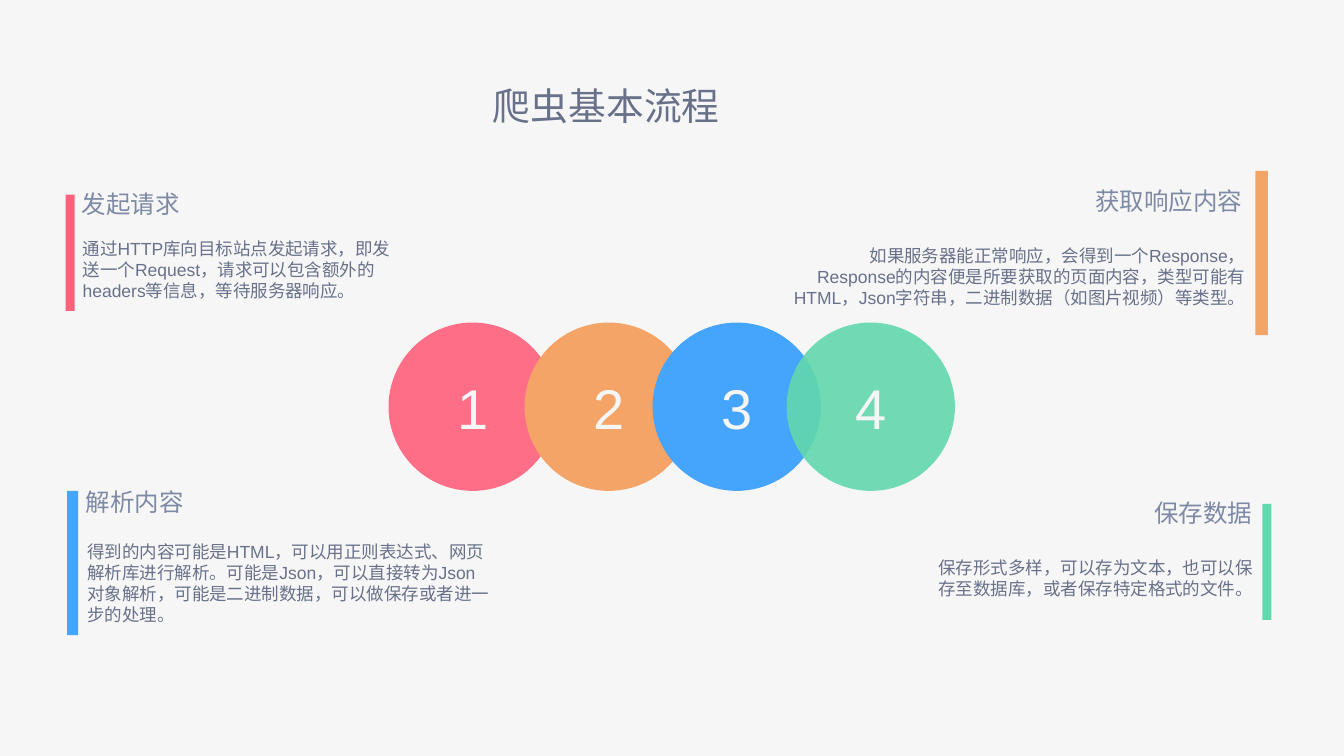
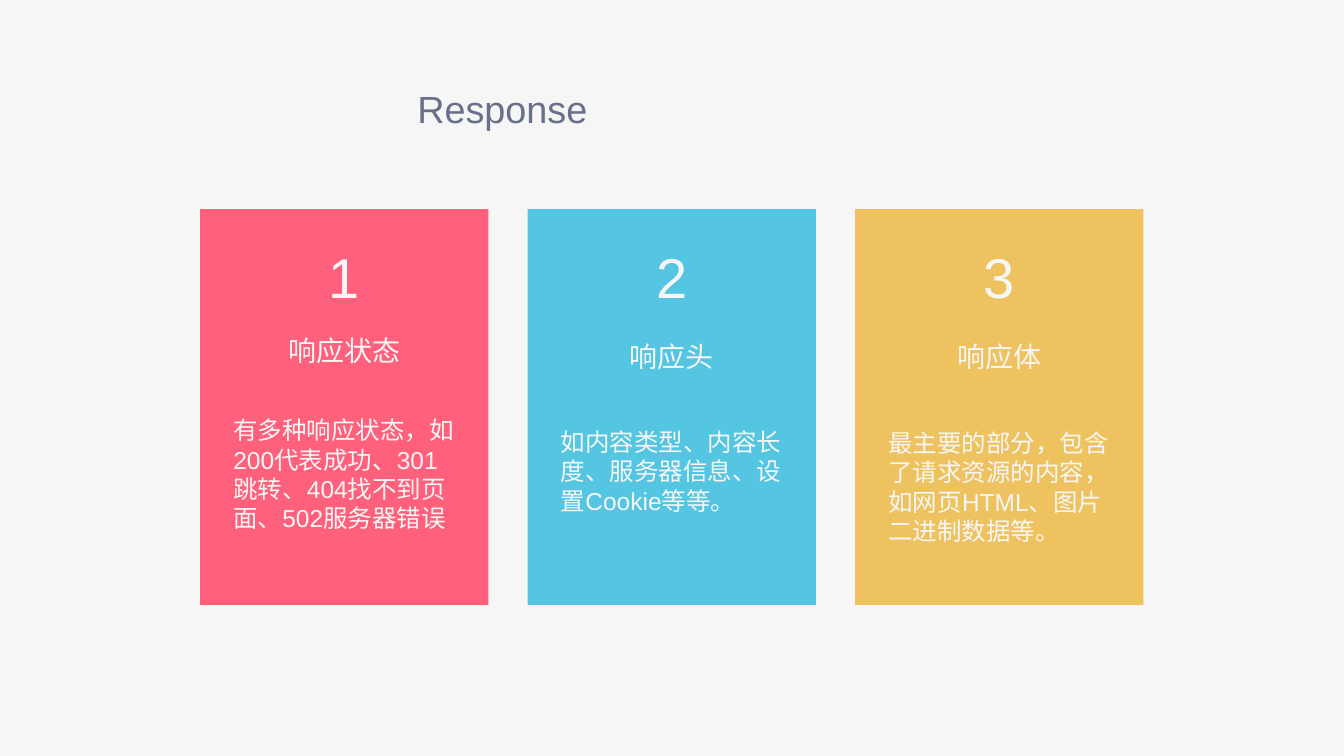
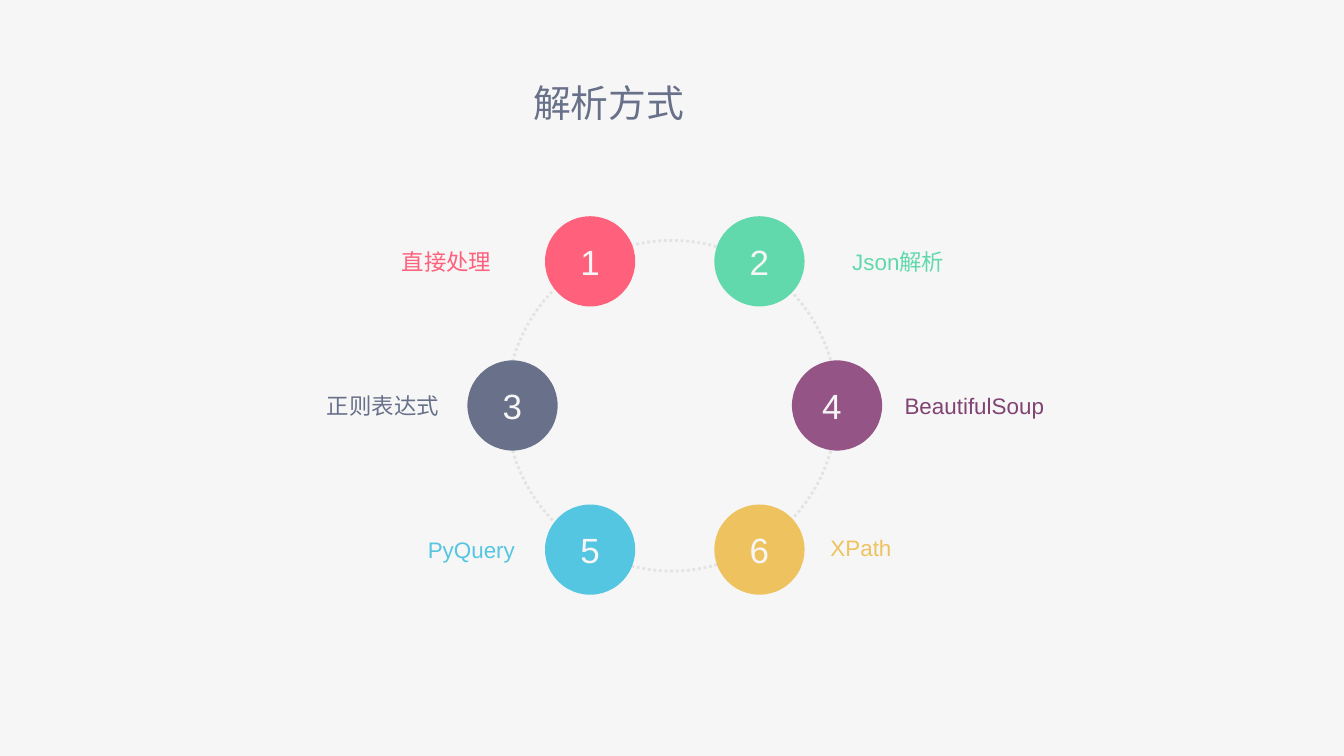
from lxml.etree import SubElement
from pptx import Presentation
from pptx.dml.color import RGBColor
from pptx.enum.dml import MSO_LINE
from pptx.enum.shapes import MSO_SHAPE
from pptx.enum.text import MSO_ANCHOR, MSO_AUTO_SIZE, PP_ALIGN
from pptx.oxml.ns import qn
from pptx.util import Inches, Pt

# Shared style
FONT = "Arial"
PAPER = RGBColor(0xF6, 0xF6, 0xF6)
SLATE = RGBColor(0x68, 0x71, 0x89)
HEADING = RGBColor(0x7E, 0x89, 0xA5)
PINK = RGBColor(0xFF, 0x60, 0x7B)
ORANGE = RGBColor(0xF4, 0xA4, 0x67)
BLUE = RGBColor(0x45, 0xA4, 0xFC)
GREEN = RGBColor(0x62, 0xD8, 0xAD)
CYAN = RGBColor(0x55, 0xC6, 0xE1)
YELLOW = RGBColor(0xEE, 0xC3, 0x5F)
PURPLE = RGBColor(0x94, 0x54, 0x86)
PLUM = RGBColor(0x80, 0x43, 0x72)
RING_GREY = RGBColor(0xE3, 0xE3, 0xE3)
LEFT, CENTER, RIGHT = PP_ALIGN.LEFT, PP_ALIGN.CENTER, PP_ALIGN.RIGHT


def write(shape, text, size, color, align=LEFT, wrap=True):
    """Put text, one paragraph a line, into a shape and format it."""
    frame = shape.text_frame
    frame.text = text
    frame.word_wrap = wrap
    frame.auto_size = MSO_AUTO_SIZE.NONE
    frame.vertical_anchor = MSO_ANCHOR.MIDDLE
    frame.margin_left = frame.margin_right = Inches(0.06)
    frame.margin_top = frame.margin_bottom = Inches(0.06)
    for para in frame.paragraphs:
        para.alignment = align
        # Keep closing punctuation inside the box
        para._p.get_or_add_pPr().set("hangingPunct", "0")
        for span in para.runs:
            span.font.name = FONT
            span.font.size = Pt(size)
            span.font.color.rgb = color
            east_asian = SubElement(span.font._element, qn("a:ea"))
            east_asian.set("typeface", FONT)


def add_text(page, box, text, size, color, align=LEFT, wrap=True):
    shape = page.shapes.add_textbox(*[Inches(n) for n in box])
    write(shape, text, size, color, align, wrap)


def add_block(page, kind, box, color, opacity=100):
    shape = page.shapes.add_shape(kind, *[Inches(n) for n in box])
    shape.shadow.inherit = False
    shape.fill.solid()
    shape.fill.fore_color.rgb = color
    shape.line.fill.background()
    if opacity < 100:
        tint = shape.fill._xPr.find(qn("a:solidFill"))[0]
        SubElement(tint, qn("a:alpha")).set("val", str(opacity * 1000))
    return shape


def add_number(page, center_x, center_y, number, size):
    width, height = size / 100, size / 55
    box = (center_x - width / 2, center_y - height / 2, width, height)
    add_text(page, box, str(number), size, PAPER, CENTER, wrap=False)


def add_disc(page, left, top, diameter, color, number, size,
             opacity=100, shift=0):
    """Numbered circle; shift moves the number sideways."""
    add_block(page, MSO_SHAPE.OVAL, (left, top, diameter, diameter),
              color, opacity)
    add_number(page, left + diameter / 2 + shift, top + diameter / 2,
               number, size)


def add_page(deck, title, box):
    page = deck.slides.add_slide(deck.slide_layouts.get_by_name("Title Only"))
    holder = page.shapes.title
    holder.left, holder.top, holder.width, holder.height = [
        Inches(n) for n in box]
    write(holder, title, 54, SLATE)
    return page


def add_note(page, bar, color, heading_box, heading, body_box, body, align):
    """Heading and description beside a coloured bar."""
    add_text(page, heading_box, heading, 35, HEADING, align)
    add_text(page, body_box, body, 25, SLATE, align)
    add_block(page, MSO_SHAPE.RECTANGLE, bar, color)


def add_card(page, box, color, number, heading, heading_top, body,
             body_top, body_height):
    left, top, width, _ = box
    add_block(page, MSO_SHAPE.RECTANGLE, box, color)
    add_number(page, left + width / 2, top + 1.33, number, 80)
    add_text(page, (left, heading_top, width, 0.89), heading, 40, PAPER,
             CENTER)
    add_text(page, (left + 0.6, body_top, 4.52, body_height), body, 35, PAPER)


def build_process(deck):
    page = add_page(deck, "爬虫基本流程", (9.72, 1.51, 7.23, 1.15))
    # Overlapping chain of steps
    steps = [(7.71, PINK, 90), (10.41, ORANGE, 100),
             (12.95, BLUE, 100), (15.61, GREEN, 90)]
    for number, (left, color, opacity) in enumerate(steps, 1):
        add_disc(page, left, 6.4, 3.34, color, number, 80, opacity)
    # Notes in the four corners
    add_note(page, (1.3, 3.86, 0.18, 2.31), PINK,
             (1.56, 3.64, 2.08, 0.79), "发起请求",
             (1.58, 4.54, 6.54, 1.62),
             "通过HTTP库向目标站点发起请求，即发送一个Request，"
             "请求可以包含额外的headers等信息，等待服务器响应。", LEFT)
    add_note(page, (1.33, 9.74, 0.22, 2.86), BLUE,
             (1.64, 9.5, 2.37, 0.92), "解析内容",
             (1.67, 9.95, 8.11, 3.25),
             "得到的内容可能是HTML，可以用正则表达式、网页解析库进行解析。"
             "可能是Json，可以直接转为Json对象解析，可能是二进制数据，"
             "可以做保存或者进一步的处理。", LEFT)
    add_note(page, (24.91, 3.39, 0.25, 3.26), ORANGE,
             (19.68, 3.42, 5.03, 1.12), "获取响应内容",
             (15.54, 3.99, 9.23, 2.99),
             "如果服务器能正常响应，会得到一个Response，\n"
             "Response的内容便是所要获取的页面内容，类型可能有HTML，"
             "Json字符串，二进制数据（如图片视频）等类型。", RIGHT)
    add_note(page, (25.05, 10, 0.18, 2.3), GREEN,
             (21.36, 9.78, 3.55, 0.79), "保存数据",
             (18.4, 10.92, 6.52, 1.11),
             "保存形式多样，可以存为文本，也可以保存至数据库，"
             "或者保存特定格式的文件。", RIGHT)


def build_response(deck):
    page = add_page(deck, "Response", (8.22, 1.59, 10.23, 1.11))
    cards = [
        (PINK, "响应状态", 6.51,
         "有多种响应状态，如200代表成功、301跳转、404找不到页面、"
         "502服务器错误", 7.99, 2.83),
        (CYAN, "响应头", 6.62,
         "如内容类型、内容长度、服务器信息、设置Cookie等等。", 8.27, 2.15),
        (YELLOW, "响应体", 6.62,
         "最主要的部分，包含了请求资源的内容，如网页HTML、"
         "图片二进制数据等。", 8.24, 2.83),
    ]
    width, gap = 5.72, 0.78
    for index, (color, *parts) in enumerate(cards):
        box = (3.97 + index * (width + gap), 4.15, width, 7.85)
        add_card(page, box, color, index + 1, *parts)


def build_parsing(deck):
    page = add_page(deck, "解析方式", (10.52, 1.46, 5.63, 1.15))
    # Dotted ring behind the discs
    ring = add_block(page, MSO_SHAPE.OVAL, (10.05, 4.77, 6.56, 6.56), PAPER)
    ring.line.color.rgb = RING_GREY
    ring.line.width = Pt(4)
    ring.line.dash_style = MSO_LINE.ROUND_DOT
    # Three rows of two discs, the middle row spread wider
    diameter, middle, row_step = 1.79, 13.39, 2.86
    colors = [PINK, GREEN, SLATE, PURPLE, CYAN, YELLOW]
    for index, color in enumerate(colors):
        row, column = divmod(index, 2)
        spread = 3.22 if row == 1 else 1.68
        center_x = middle + (spread if column else -spread)
        add_disc(page, center_x - diameter / 2, 4.29 + row * row_step,
                 diameter, color, index + 1, 50,
                 shift=-0.1 if color == PURPLE else 0)
    # Labels outside the ring
    labels = [
        ((7.91, 4.82, 1.9, 0.74), "直接处理", PINK, RIGHT, False),
        ((16.85, 4.82, 1.95, 0.74), "Json解析", GREEN, LEFT, True),
        ((6.42, 7.68, 2.35, 0.74), "正则表达式", SLATE, RIGHT, False),
        ((17.89, 7.73, 2.89, 0.64), "BeautifulSoup", PLUM, LEFT, False),
        ((8.43, 10.59, 1.85, 0.64), "PyQuery", CYAN, RIGHT, False),
        ((16.42, 10.54, 1.34, 0.64), "XPath", YELLOW, LEFT, False),
    ]
    for box, text, color, align, wrap in labels:
        add_text(page, box, text, 32, color, align, wrap)


deck = Presentation()
deck.slide_width, deck.slide_height = Inches(26.67), Inches(15)
backdrop = deck.slide_master.background.fill
backdrop.solid()
backdrop.fore_color.rgb = PAPER
build_process(deck)
build_response(deck)
build_parsing(deck)
deck.save("out.pptx")
